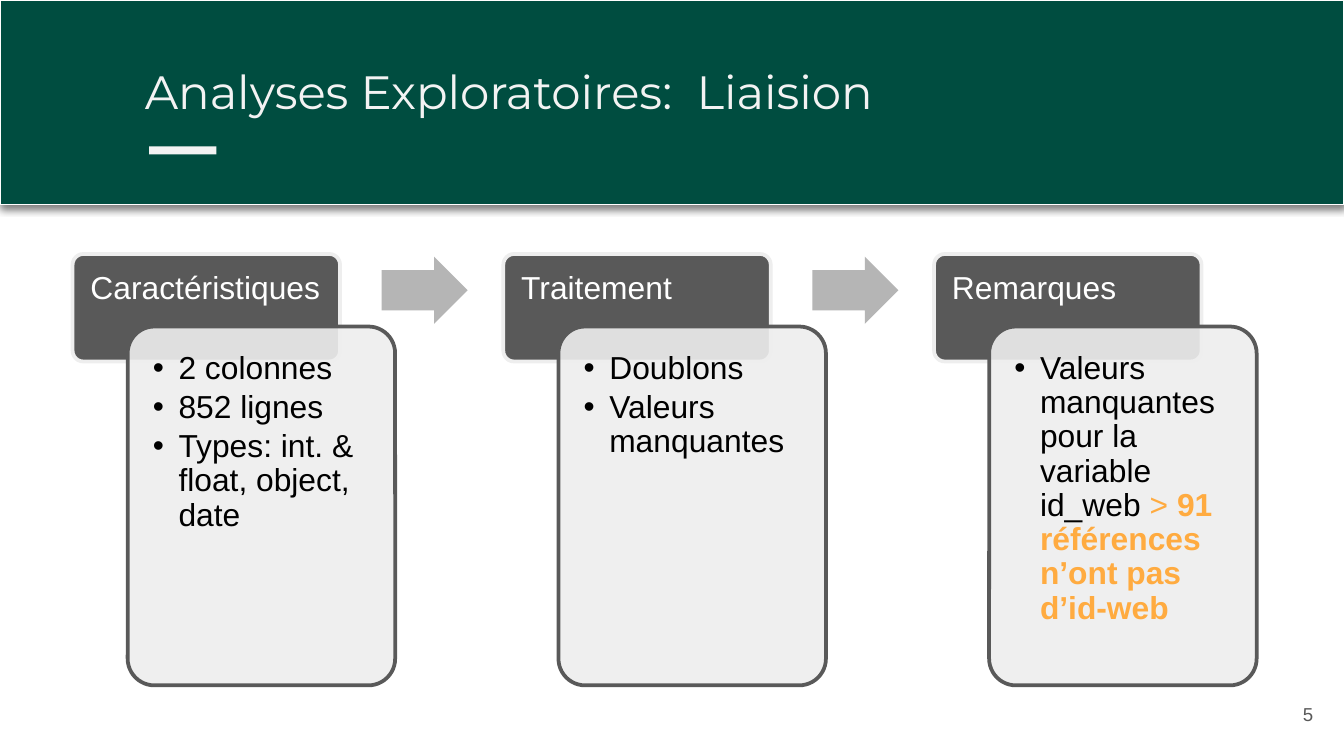
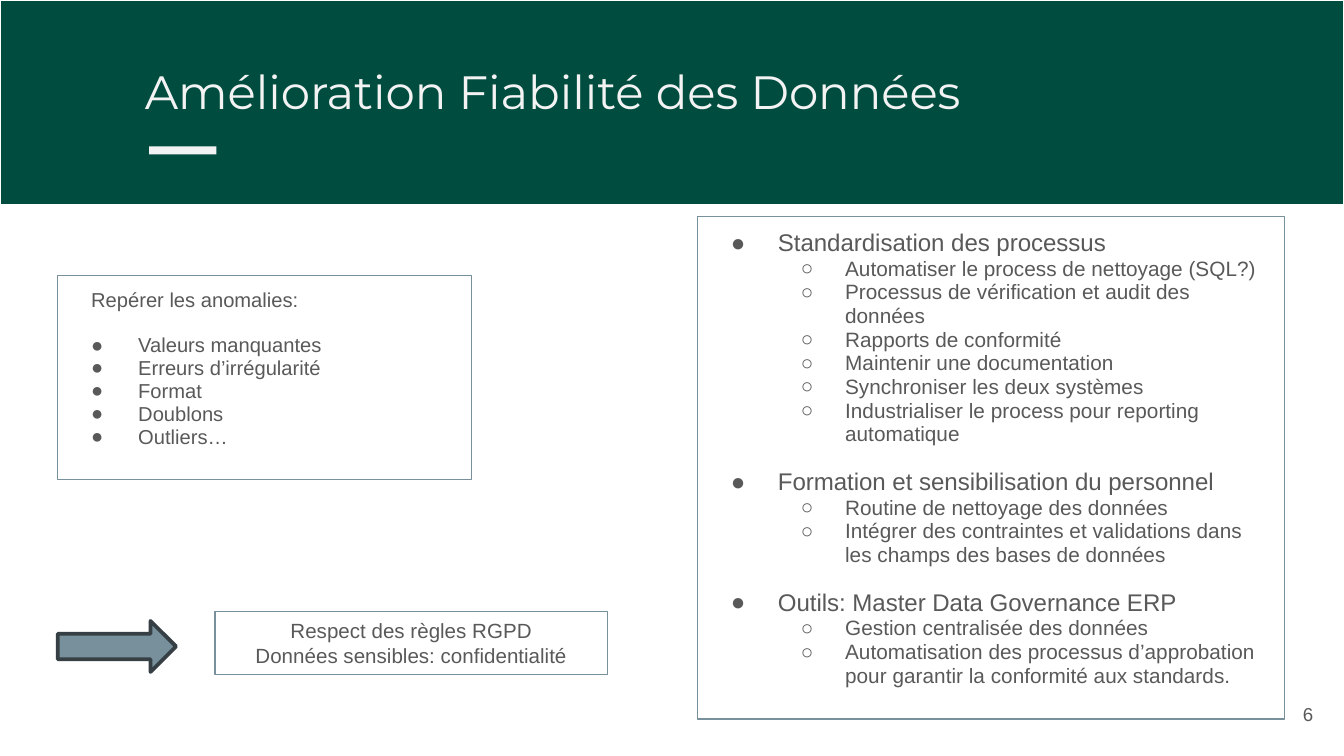
from dataclasses import dataclass

from lxml import etree
from pptx import Presentation
from pptx.dml.color import RGBColor
from pptx.enum.shapes import MSO_SHAPE
from pptx.enum.text import MSO_ANCHOR, PP_ALIGN
from pptx.oxml.ns import qn
from pptx.util import Inches, Pt

RECTANGLE = MSO_SHAPE.RECTANGLE
ROUNDED = MSO_SHAPE.ROUNDED_RECTANGLE
ARROW = MSO_SHAPE.RIGHT_ARROW
TOP, MIDDLE = MSO_ANCHOR.TOP, MSO_ANCHOR.MIDDLE
LEFT, CENTER, RIGHT = PP_ALIGN.LEFT, PP_ALIGN.CENTER, PP_ALIGN.RIGHT

GREEN = RGBColor(0x00, 0x4D, 0x40)
WHITE = RGBColor(0xFF, 0xFF, 0xFF)
BLACK = RGBColor(0x00, 0x00, 0x00)
OFF_WHITE = RGBColor(0xF3, 0xF3, 0xF3)
PALE_GREY = RGBColor(0xEE, 0xEE, 0xEE)
MID_GREY = RGBColor(0xB5, 0xB5, 0xB5)
DARK_GREY = RGBColor(0x59, 0x59, 0x59)
SLATE = RGBColor(0x78, 0x90, 0x9C)
DARK_SLATE = RGBColor(0x35, 0x3F, 0x44)
ORANGE = RGBColor(0xFF, 0xAB, 0x40)

BODY_FONT, TITLE_FONT = "Arial", "Montserrat"

# The slide is a grid of square cells: 100 columns by 56.25 rows
COLUMNS, ROWS = 100, 56.25
CELL = Inches(10) / COLUMNS


@dataclass
class Box:
    """An area of the slide, in grid cells."""
    left: float
    top: float
    width: float
    height: float

    def inner(self, left, top, width, height):
        return Box(self.left + left, self.top + top, width, height)

    def lengths(self):
        return [round(cells * CELL) for cells in
                (self.left, self.top, self.width, self.height)]


PAGE = Box(0, 0, COLUMNS, ROWS)


# ---- Shared building blocks ----
def add_box(page, box, kind=RECTANGLE, fill=None, line=None, weight=0.75):
    shape = page.shapes.add_shape(kind, *box.lengths())
    shape.shadow.inherit = False
    if fill is None:
        shape.fill.background()
    else:
        shape.fill.solid()
        shape.fill.fore_color.rgb = fill
    if line is None:
        shape.line.fill.background()
    else:
        shape.line.color.rgb = line
        shape.line.width = Pt(weight)
    return shape


def set_frame(shape, insets, anchor=TOP):
    frame = shape.text_frame
    frame.word_wrap = True
    frame.vertical_anchor = anchor
    (frame.margin_left, frame.margin_top,
     frame.margin_right, frame.margin_bottom) = map(Inches, insets)
    return frame


def next_paragraph(frame, index):
    return frame.paragraphs[0] if index == 0 else frame.add_paragraph()


def format_paragraph(para, size, color, font=BODY_FONT, align=LEFT):
    para.alignment = align
    for span in para.runs:
        span.font.size = Pt(size)
        span.font.name = font
        span.font.color.rgb = color


def set_bullet(para, char, color, margin, hanging):
    props = para._p.get_or_add_pPr()
    props.set("marL", str(Inches(margin)))
    props.set("indent", str(Inches(-hanging)))
    if char:
        tint = etree.SubElement(props, qn("a:buClr"))
        etree.SubElement(tint, qn("a:srgbClr"), val=str(color))
        etree.SubElement(props, qn("a:buFont"), typeface=BODY_FONT)
        etree.SubElement(props, qn("a:buChar"), char=char)


def add_text(page, box, text, size, color, font=BODY_FONT, align=LEFT, anchor=TOP):
    shape = page.shapes.add_textbox(*box.lengths())
    frame = set_frame(shape, [0.1] * 4, anchor)
    frame.text = text
    format_paragraph(frame.paragraphs[0], size, color, font, align)


def add_shadow(shape):
    effects = shape._element.spPr.find(qn("a:effectLst"))
    shadow = etree.SubElement(effects, qn("a:outerShdw"), blurRad=str(Pt(4.5)),
                              dist=str(Pt(1.5)), dir=str(90 * 60000))
    tint = etree.SubElement(shadow, qn("a:srgbClr"), val=str(BLACK))
    etree.SubElement(tint, qn("a:alpha"), val="50000")


def set_opacity(shape, percent):
    tint = shape._element.spPr.find(qn("a:solidFill")).find(qn("a:srgbClr"))
    etree.SubElement(tint, qn("a:alpha"), val=str(percent * 1000))


# ---- Header band, title and page number ----
def add_header(page, box, title, shadow):
    band = add_box(page, box, fill=GREEN, line=WHITE)
    if shadow:
        add_shadow(band)
    add_text(page, box.inner(9.8, 3.7, 88, 6.3), title, 25, OFF_WHITE, TITLE_FONT)
    add_box(page, box.inner(11.1, 10.9, 5, 0.6), fill=OFF_WHITE)


def add_page(deck, title, number, shadow=False):
    page = deck.slides.add_slide(deck.slide_layouts[6])
    add_header(page, PAGE.inner(0, 0, COLUMNS, 15.2), title, shadow)
    add_text(page, PAGE.inner(92.7, 51, 6, 4.3), str(number), 10, DARK_GREY,
             align=RIGHT, anchor=MIDDLE)
    return page


# ---- Slide 1: stages in a row ----
STAGE_PITCH = 32.05
STAGES = [
    ("Caractéristiques", ["2 colonnes", "852 lignes",
                          "Types: int. & float, object, date"], []),
    ("Traitement", ["Doublons", "Valeurs manquantes"], []),
    ("Remarques", ["Valeurs manquantes pour la variable id_web"],
     [(" > ", False), ("91 références n’ont pas d’id-web", True)]),
]


def add_stage(page, box, name, points, highlights):
    # Dark tab
    tab = add_box(page, box.inner(0, 0, 19.9, 8), ROUNDED, DARK_GREY, PALE_GREY, 2)
    tab.adjustments[0] = 0.1
    frame = set_frame(tab, (0.11, 0.11, 0.05, 0.05))
    frame.text = name
    frame.paragraphs[0].line_spacing = 0.9
    format_paragraph(frame.paragraphs[0], 17, WHITE)

    # Translucent panel over the tab
    panel = add_box(page, box.inner(4.1, 5.4, 19.9, 26.7), ROUNDED,
                    PALE_GREY, DARK_GREY, 2)
    panel.adjustments[0] = 0.1
    set_opacity(panel, 90)
    frame = set_frame(panel, [0.13] * 4)
    for index, point in enumerate(points):
        para = next_paragraph(frame, index)
        para.text = point
        para.line_spacing = 0.9
        para.space_after = Pt(2.6)
        format_paragraph(para, 17, BLACK)
        set_bullet(para, "•", BLACK, 0.19, 0.19)

    # Highlighted end of the last point
    for text, bold in highlights:
        span = frame.paragraphs[-1].add_run()
        span.text = text
        span.font.size = Pt(17)
        span.font.name = BODY_FONT
        span.font.bold = bold
        span.font.color.rgb = ORANGE


def build_stages(page, box):
    for index, stage in enumerate(STAGES):
        cell = box.inner(index * STAGE_PITCH, 0, 24, box.height)
        add_stage(page, cell, *stage)
        if index < len(STAGES) - 1:
            arrow = add_box(page, cell.inner(23, 0.2, 6.4, 5), ARROW, MID_GREY)
            arrow.adjustments[0] = 0.6


# ---- Slide 2: framed lists ----
ANOMALIES = ["Valeurs manquantes", "Erreurs d’irrégularité", "Format",
             "Doublons", "Outliers…"]
ACTIONS = {
    "Standardisation des processus": [
        "Automatiser le process de nettoyage (SQL?)",
        "Processus de vérification et audit des données",
        "Rapports de conformité",
        "Maintenir une documentation",
        "Synchroniser les deux systèmes",
        "Industrialiser le process pour reporting automatique",
    ],
    "Formation et sensibilisation du personnel": [
        "Routine de nettoyage des données",
        "Intégrer des contraintes et validations dans les champs des bases de données",
    ],
    "Outils: Master Data Governance ERP": [
        "Gestion centralisée des données",
        "Automatisation des processus d’approbation pour garantir la conformité "
        "aux standards.",
    ],
}
RULES = ["Respect des règles RGPD", "Données sensibles: confidentialité"]


@dataclass
class ItemStyle:
    size: float
    char: str
    margin: float
    hanging: float
    level: int = 0


INTRO = ItemStyle(10.8, "", 0.15, 0)
ANOMALY = ItemStyle(10.8, "●", 0.5, 0.35)
THEME = ItemStyle(12.9, "●", 0.5, 0.35)
ACTION = ItemStyle(11.1, "○", 1, 0.33, 1)


def add_list(page, box, items):
    """Each item is its text, its style and the space before it in points."""
    frame = set_frame(add_box(page, box, line=SLATE), [0.1] * 4)
    for index, (text, style, space) in enumerate(items):
        para = next_paragraph(frame, index)
        para.text = text
        para.level = style.level
        para.line_spacing = 0.95
        para.space_before = Pt(space)
        format_paragraph(para, style.size, DARK_GREY)
        set_bullet(para, style.char, DARK_GREY, style.margin, style.hanging)


def add_anomalies(page, box):
    items = [("Repérer les anomalies:", INTRO, 0)]
    items += [(text, ANOMALY, 0 if index else 12)
              for index, text in enumerate(ANOMALIES)]
    add_list(page, box, items)


def add_actions(page, box):
    items = []
    for theme, actions in ACTIONS.items():
        items.append((theme, THEME, 12 if items else 0))
        items += [(action, ACTION, 0) for action in actions]
    add_list(page, box, items)


def add_rules(page, box):
    add_box(page, box.inner(0, 0.7, 8.8, 3.8), ARROW, SLATE, DARK_SLATE, 2)
    note = add_box(page, box.inner(11.7, 0, 29.2, 4.7), line=SLATE)
    frame = set_frame(note, (0.1, 0.05, 0.1, 0.05), MIDDLE)
    for index, rule in enumerate(RULES):
        para = next_paragraph(frame, index)
        para.text = rule
        format_paragraph(para, 11, DARK_GREY, align=CENTER)


def main():
    deck = Presentation()
    deck.slide_width = round(COLUMNS * CELL)
    deck.slide_height = round(ROWS * CELL)

    page = add_page(deck, "Analyses Exploratoires:  Liaision", 5, shadow=True)
    build_stages(page, PAGE.inner(5.4, 18.9, 88, 32.1))

    page = add_page(deck, "Amélioration Fiabilité des Données", 6)
    add_anomalies(page, PAGE.inner(4.3, 20.5, 30.8, 15.2))
    add_actions(page, PAGE.inner(51.9, 16.1, 43.7, 37.4))
    add_rules(page, PAGE.inner(4.3, 45.5, 40.9, 4.7))

    deck.save("out.pptx")


if __name__ == "__main__":
    main()
